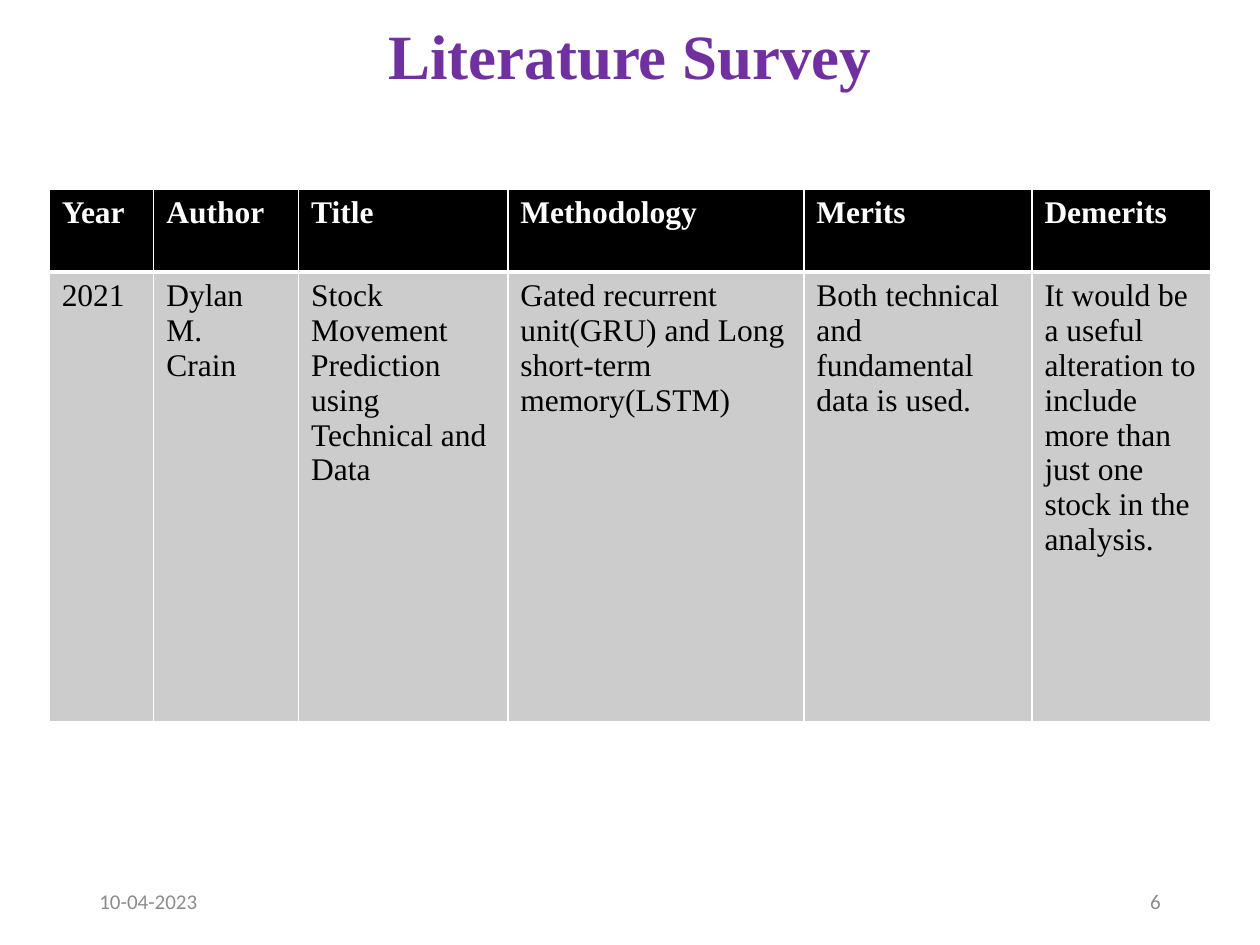
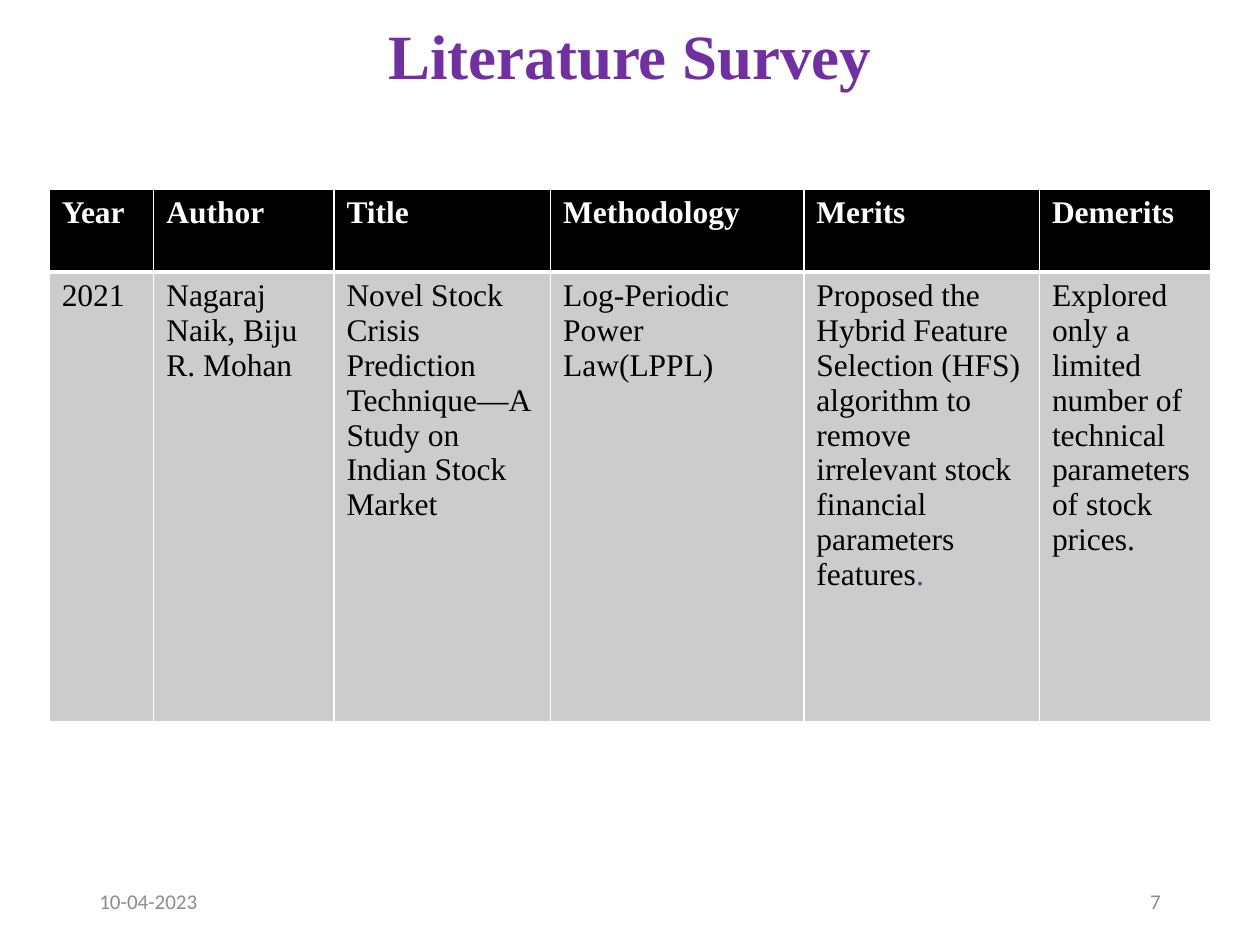
from dataclasses import dataclass

from lxml import etree
from pptx import Presentation
from pptx.dml.color import RGBColor
from pptx.enum.text import MSO_ANCHOR, PP_ALIGN
from pptx.oxml.ns import qn
from pptx.util import Inches, Pt

LEFT, CENTER, RIGHT = PP_ALIGN.LEFT, PP_ALIGN.CENTER, PP_ALIGN.RIGHT
MIDDLE = MSO_ANCHOR.MIDDLE


@dataclass(frozen=True)
class Theme:
    serif: str = "Times New Roman"
    sans: str = "Calibri"
    title: str = "7030A0"
    foot: str = "8C8C8C"
    head: str = "000000"
    body: str = "CCCCCC"
    light: str = "FFFFFF"
    dark: str = "000000"
    slate: str = "44546A"
    big: int = 36
    mid: int = 18
    small: int = 12
    thin: int = 1
    thick: int = 3


THEME = Theme()
HEADS = ("Year", "Author", "Title", "Methodology", "Merits", "Demerits")
ROWS = (0.66, 3.57)
PAGES = (
    {
        "page": 6,
        "widths": (0.83, 1.15, 1.66, 2.35, 1.81, 1.42),
        "study": (
            "2021",
            "Dylan M.\vCrain",
            "Stock Movement Prediction using Technical and Data",
            "Gated recurrent unit(GRU) and Long short-term memory(LSTM)",
            "Both technical and fundamental data is used.",
            "It would be a useful alteration to include more than just one "
            "stock in the analysis.",
        ),
    },
    {
        "page": 7,
        "widths": (0.83, 1.43, 1.72, 2.01, 1.87, 1.36),
        "study": (
            "2021",
            "Nagaraj Naik, Biju R. Mohan",
            "Novel Stock Crisis Prediction Technique—A Study on Indian Stock Market",
            "Log-Periodic Power Law(LPPL)",
            ("Proposed the Hybrid Feature Selection (HFS) algorithm to remove "
             "irrelevant stock financial parameters features", "."),
            "Explored only a limited number of technical parameters of stock prices.",
        ),
    },
)


def style(run, font, size, color, bold):
    run.font.name = font
    run.font.size = Pt(size)
    run.font.bold = bold
    run.font.color.rgb = RGBColor.from_string(color)


def write(frame, text, font=THEME.serif, size=THEME.mid, color=THEME.dark,
          bold=False, align=LEFT, space=None, tail=""):
    frame.word_wrap = True
    par = frame.paragraphs[0]
    par.text = text
    par.alignment = align
    par.line_spacing = space
    for run in par.runs:
        style(run, font, size, color, bold)
    if tail:
        run = par.add_run()
        run.text = tail
        style(run, font, size, THEME.slate, bold)


def label(slide, text, left, top, width, height, **look):
    box = slide.shapes.add_textbox(
        Inches(left), Inches(top), Inches(width), Inches(height))
    box.text_frame.vertical_anchor = MIDDLE
    write(box.text_frame, text, **look)


def frame(slide, page):
    label(slide, "Literature Survey", 0.69, 0.18, 8.62, 0.58,
          size=THEME.big, color=THEME.title, bold=True, align=CENTER, space=0.9)
    foot = {"font": THEME.sans, "size": THEME.small, "color": THEME.foot}
    label(slide, "10-04-2023", 0.69, 6.95, 2.25, 0.4, **foot)
    label(slide, str(page), 7.06, 6.95, 2.25, 0.4, align=RIGHT, **foot)


def edge(cell, **widths):
    props = cell._tc.get_or_add_tcPr()
    for side in "LRTB":
        width = widths.get(side, THEME.thin)
        line = etree.SubElement(props, qn(f"a:ln{side}"), w=str(Pt(width)))
        fill = etree.SubElement(line, qn("a:solidFill"))
        etree.SubElement(fill, qn("a:srgbClr"), val=THEME.light)


def paint(cell, color):
    cell.fill.solid()
    cell.fill.fore_color.rgb = RGBColor.from_string(color)


def grid(slide, widths, study):
    table = slide.shapes.add_table(
        len(ROWS), len(widths), Inches(0.39), Inches(1.5),
        Inches(sum(widths)), Inches(sum(ROWS))).table
    for row, height in zip(table.rows, ROWS):
        row.height = Inches(height)
    for col, width in enumerate(widths):
        table.columns[col].width = Inches(width)
        head, body = table.cell(0, col), table.cell(1, col)
        edge(head, B=THEME.thick)
        edge(body, T=THEME.thick)
        paint(head, THEME.head)
        paint(body, THEME.body)
        write(head.text_frame, HEADS[col], color=THEME.light, bold=True)
        item = study[col]
        text, tail = (item, "") if isinstance(item, str) else item
        write(body.text_frame, text, tail=tail)


def main():
    deck = Presentation()
    deck.slide_width, deck.slide_height = Inches(10), Inches(7.5)
    for data in PAGES:
        slide = deck.slides.add_slide(deck.slide_layouts[6])
        frame(slide, data["page"])
        grid(slide, data["widths"], data["study"])
    deck.save("out.pptx")


if __name__ == "__main__":
    main()
